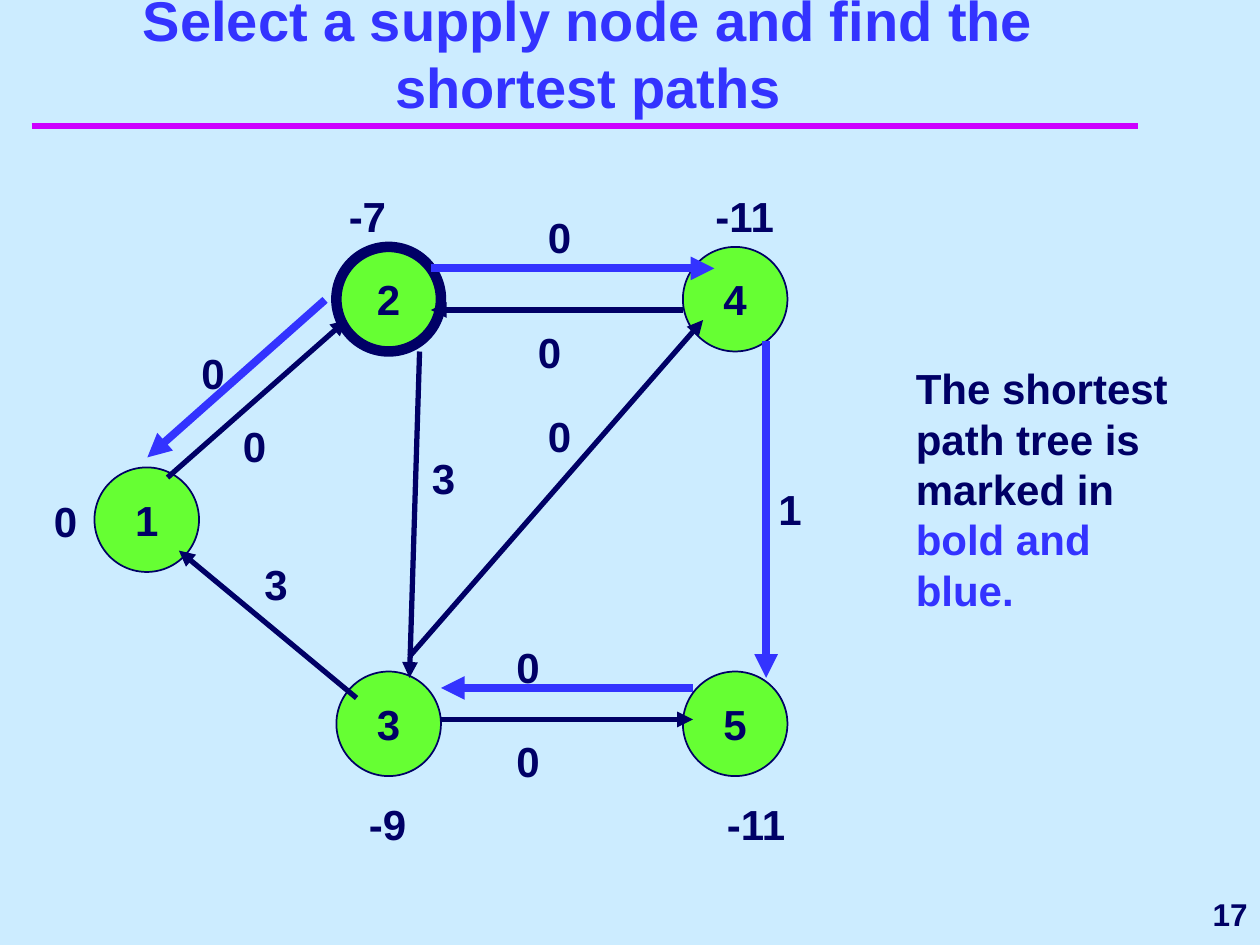
from dataclasses import dataclass

from lxml.etree import SubElement
from pptx import Presentation
from pptx.dml.color import RGBColor
from pptx.enum.shapes import MSO_CONNECTOR, MSO_SHAPE
from pptx.enum.text import MSO_ANCHOR, MSO_AUTO_SIZE, PP_ALIGN
from pptx.oxml.ns import qn
from pptx.util import Inches, Pt

SKY = RGBColor(0xCC, 0xEC, 0xFF)
NAVY = RGBColor(0x00, 0x00, 0x66)
BLUE = RGBColor(0x33, 0x33, 0xFF)
GREEN = RGBColor(0x66, 0xFF, 0x33)
MAGENTA = RGBColor(0xCC, 0x00, 0xFF)
FONT = "Arial"
NODE_SIZE = 0.83


@dataclass
class Node:
    name: str
    left: float
    top: float
    outline: float = 1


@dataclass
class Arc:
    start: tuple[float, float]
    end: tuple[float, float]
    in_tree: bool = False


@dataclass
class Label:
    text: str
    left: float
    top: float
    width: float = 1.17


NODES = [
    Node("1", 0.75, 3.71),
    Node("2", 2.67, 1.96, outline=6),
    Node("3", 2.67, 5.33),
    Node("5", 5.42, 5.33),
    Node("4", 5.42, 1.96),
]

ARCS = [
    Arc((1.33, 3.79), (2.75, 2.54)),
    Arc((3.42, 2.13), (5.67, 2.13), in_tree=True),
    Arc((6.08, 2.71), (6.08, 5.38), in_tree=True),
    Arc((3.25, 5.21), (5.58, 2.54)),
    Arc((2.83, 5.54), (1.42, 4.37)),
    Arc((3.5, 5.71), (5.5, 5.71)),
    Arc((3.33, 2.79), (3.25, 5.38)),
    Arc((5.5, 5.46), (3.5, 5.46), in_tree=True),
    Arc((2.58, 2.38), (1.17, 3.63), in_tree=True),
    Arc((5.42, 2.46), (3.42, 2.46)),
]

NODE_POTENTIALS = [
    Label("0", 0.33, 3.88, 0.67),
    Label("-7", 2.67, 1.46, 0.67),
    Label("-11", 5.58, 1.46, 0.92),
    Label("-11", 5.67, 6.29, 1.25),
    Label("-9", 2.83, 6.29, 0.67),
]

ARC_COSTS = [
    Label("1", 6.08, 3.79, 0.42),
    Label("0", 1.83, 3.29),
    Label("3", 2, 4.38),
    Label("0", 4, 5.79),
    Label("0", 4.25, 3.21),
    Label("3", 3.33, 3.54),
    Label("0", 4.25, 1.63),
    Label("0", 4, 5.04),
    Label("0", 1.5, 2.71),
    Label("0", 4.17, 2.54),
]


def style(paragraph, size: float = 24, color: RGBColor = NAVY) -> None:
    font = paragraph.font
    font.name, font.size, font.bold = FONT, Pt(size), True
    font.color.rgb = color


def draw_line(slide, start: tuple[float, float], end: tuple[float, float],
              color: RGBColor, width: float):
    line = slide.shapes.add_connector(
        MSO_CONNECTOR.STRAIGHT, *map(Inches, (*start, *end)))
    line.line.color.rgb = color
    line.line.width = Pt(width)
    SubElement(line._element.spPr, qn("a:effectLst"))
    return line


def draw_arc(slide, arc: Arc) -> None:
    color, width = (BLUE, 4.5) if arc.in_tree else (NAVY, 3)
    arrow = draw_line(slide, arc.start, arc.end, color, width)
    SubElement(arrow.line._get_or_add_ln(), qn("a:tailEnd"), type="triangle")


def draw_node(slide, node: Node) -> None:
    circle = slide.shapes.add_shape(
        MSO_SHAPE.OVAL, Inches(node.left), Inches(node.top),
        Inches(NODE_SIZE), Inches(NODE_SIZE))
    circle.shadow.inherit = False
    circle.fill.solid()
    circle.fill.fore_color.rgb = GREEN
    circle.line.color.rgb = NAVY
    circle.line.width = Pt(node.outline)
    frame = circle.text_frame
    frame.text = node.name
    frame.word_wrap = False
    frame.vertical_anchor = MSO_ANCHOR.MIDDLE
    frame.paragraphs[0].alignment = PP_ALIGN.CENTER
    style(frame.paragraphs[0])


def add_text(slide, label: Label, height: float = 0.5, size: float = 24):
    box = slide.shapes.add_textbox(
        Inches(label.left), Inches(label.top), Inches(label.width), Inches(height))
    frame = box.text_frame
    frame.word_wrap = True
    frame.text = label.text
    style(frame.paragraphs[0], size)
    return frame


def main() -> None:
    prs = Presentation()
    prs.slide_width, prs.slide_height = Inches(10), Inches(7.5)
    slide = prs.slides.add_slide(prs.slide_layouts[5])
    slide.background.fill.solid()
    slide.background.fill.fore_color.rgb = SKY

    # Title and its rule
    draw_line(slide, (0.25, 1), (9.03, 1), MAGENTA, 4)
    title = slide.shapes.title
    title.left, title.top = Inches(0.42), Inches(0.58)
    title.width, title.height = Inches(8.5), Inches(0.42)
    heading = title.text_frame
    heading.text = "Select a supply node and find the shortest paths"
    heading.word_wrap = True
    heading.auto_size = MSO_AUTO_SIZE.NONE
    heading.vertical_anchor = MSO_ANCHOR.BOTTOM
    heading.paragraphs[0].alignment = PP_ALIGN.CENTER
    style(heading.paragraphs[0], 32, BLUE)

    # Network
    for node in NODES:
        draw_node(slide, node)
    for arc in ARCS:
        draw_arc(slide, arc)
    for label in NODE_POTENTIALS + ARC_COSTS:
        add_text(slide, label)

    # Explanation
    remark = add_text(
        slide, Label("The shortest path tree is marked in ", 7.17, 2.83, 2.25), 2.1)
    highlight = remark.paragraphs[0].add_run()
    highlight.text = "bold and blue."
    highlight.font.color.rgb = BLUE

    # Page number
    page_number = add_text(slide, Label("17", 8.08, 7, 1.92), size=18)
    page_number.vertical_anchor = MSO_ANCHOR.MIDDLE
    page_number.paragraphs[0].alignment = PP_ALIGN.RIGHT

    prs.save("out.pptx")


if __name__ == "__main__":
    main()
